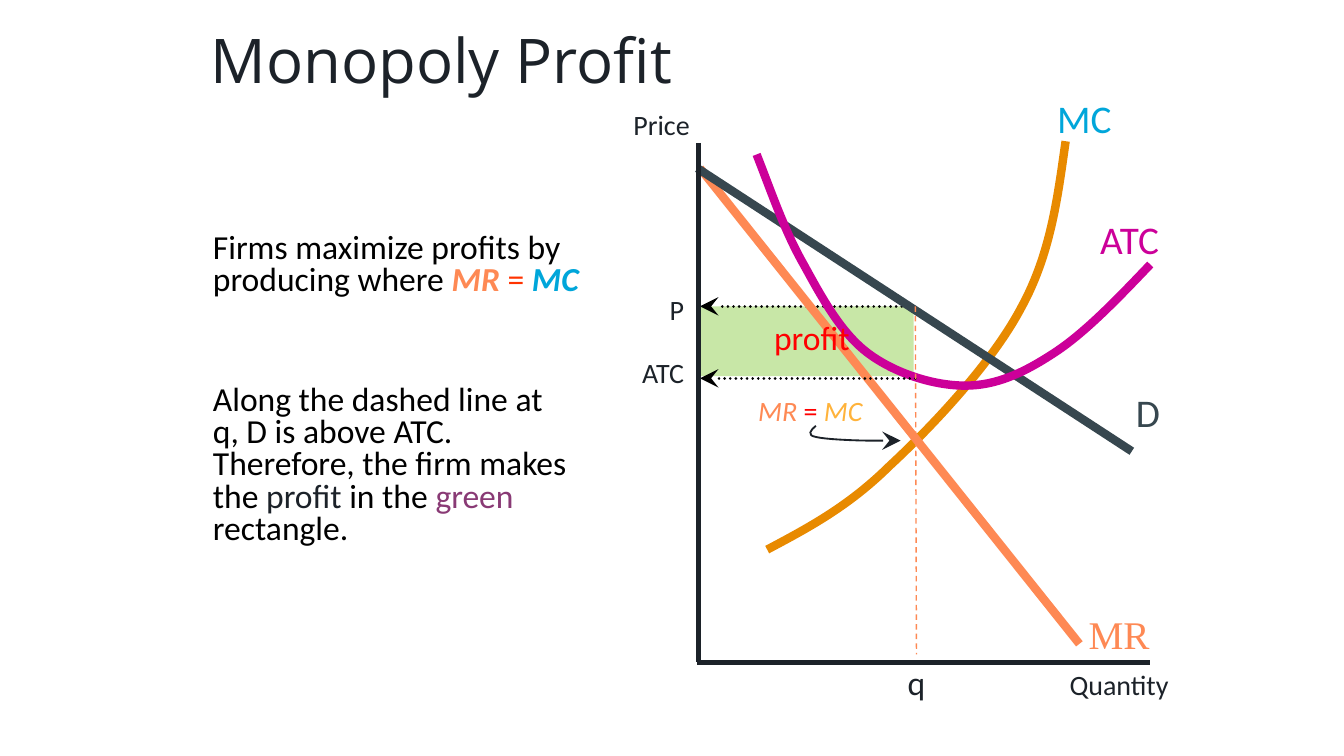
from lxml import etree
from pptx import Presentation
from pptx.dml.color import RGBColor
from pptx.enum.dml import MSO_LINE_DASH_STYLE as Dash
from pptx.enum.shapes import MSO_CONNECTOR, MSO_SHAPE
from pptx.enum.text import MSO_ANCHOR as Anchor
from pptx.enum.text import MSO_AUTO_SIZE as AutoSize
from pptx.enum.text import PP_ALIGN as Align
from pptx.oxml.ns import qn
from pptx.util import Cm, Pt

COLOURS = {
    "ink": "1C2229", "black": "000000", "white": "FFFFFF", "demand": "37474F",
    "mr": "FE8954", "mc": "00A6DA", "mc_curve": "E88A00", "mc_note": "FFB33B",
    "atc": "CC0099", "area": "92D050", "profit": "FF0000", "equals": "FF3300",
    "green_word": "893A75",
}
BOLD_ITALIC = {"bold": True, "italic": True}
ITALIC = {"italic": True}

# Cubic Bezier points in cm from the top of the price axis
MC_CURVE = [(1.3, 7.69), (2.07, 7.28), (2.83, 6.88), (3.61, 6.11), (4.43, 5.35),
            (5.55, 4.16), (6.1, 3.12), (6.66, 2.1), (6.79, 1.03), (6.94, -0.03)]
ATC_CURVE = [(1.1, 0.22), (1.38, 0.93), (1.63, 1.67), (1.99, 2.3), (2.34, 2.94),
             (2.7, 3.6), (3.21, 3.98), (3.72, 4.36), (4.45, 4.59), (5.04, 4.59),
             (5.62, 4.59), (6.13, 4.36), (6.71, 3.98), (7.3, 3.6), (7.93, 2.94),
             (8.54, 2.3)]
POINTER = [(2.22, 5.35), (2.12, 5.43), (2.04, 5.53), (2.22, 5.56), (2.42, 5.61),
           (3.03, 5.63), (3.28, 5.63), (3.56, 5.63), (3.69, 5.63), (3.82, 5.63)]


def rgb(colour):
    return RGBColor.from_string(COLOURS[colour])


def apply(target, values):
    for attribute, value in values.items():
        setattr(target, attribute, value)


def place(shape, left, top, width, height):
    apply(shape, {"left": Cm(left), "top": Cm(top),
                  "width": Cm(width), "height": Cm(height)})


def write(shape, runs, size, font="Calibri", paragraph_format=None, frame_format=None):
    """Fill a shape with one paragraph of (text, colour, font format) runs."""
    frame = shape.text_frame
    apply(frame, {"word_wrap": True, "auto_size": AutoSize.NONE,
                  "vertical_anchor": Anchor.TOP, **(frame_format or {})})
    paragraph = frame.paragraphs[0]
    apply(paragraph, {"alignment": Align.LEFT, **(paragraph_format or {})})
    for text, colour, font_format in runs:
        run = paragraph.add_run()
        run.text = text
        apply(run.font, {"name": font, "size": Pt(size), **font_format})
        run.font.color.rgb = rgb(colour)
    return paragraph


def style_line(shape, colour, width, dash=None, arrow=False):
    shape.line.color.rgb = rgb(colour)
    shape.line.width = Pt(width)
    line = shape.line._get_or_add_ln()
    if dash:
        shape.line.dash_style = dash
    if dash == Dash.ROUND_DOT:
        line.set("cap", "rnd")
    if arrow:
        etree.SubElement(line, qn("a:tailEnd"), type="stealth", w="lg", len="lg")


def bend(shape):
    """Turn each three straight segments of a freeform into one cubic curve."""
    segments = list(shape._element.iter(qn("a:lnTo")))
    for start in range(0, len(segments), 3):
        cubic = etree.Element(qn("a:cubicBezTo"))
        segments[start].addprevious(cubic)
        for segment in segments[start:start + 3]:
            cubic.append(segment[0])
            segment.getparent().remove(segment)


def add_heading(title, left, top, width, height):
    place(title, left, top, width, height)
    write(title, [("Monopoly Profit", "ink", {})], 33, "Open Sans",
          {"line_spacing": 0.9},
          {"vertical_anchor": Anchor.MIDDLE, "margin_left": Cm(0.2),
           "margin_right": Cm(0.2), "margin_top": Cm(0.1), "margin_bottom": Cm(0.1)})


def add_explanation(bodies, left, top, width):
    rule = [("Firms maximize profits by producing where ", "black", {}),
            ("MR ", "mr", BOLD_ITALIC), ("= ", "equals", {}),
            ("MC", "mc", BOLD_ITALIC)]
    result = [("Along the dashed line at q, D is above ATC. Therefore, "
               "the firm makes the ", "black", {}),
              ("profit ", "ink", {}), ("in the ", "black", {}),
              ("green", "green_word", {}), (" rectangle.", "black", {})]
    rows = ((rule, 0, width, 2.08), (result, 2.87, width - 0.25, 4.22))
    for body, (runs, offset, row_width, height) in zip(bodies, rows):
        place(body, left, top + offset, row_width, height)
        paragraph = write(body, runs, 18, paragraph_format={
            "line_spacing": 0.8, "space_before": Pt(0)})
        properties = paragraph._p.get_or_add_pPr()
        properties.set("marL", "0")
        properties.set("indent", "0")
        etree.SubElement(properties, qn("a:buNone"))


def add_graph(shapes, left, top, width, height):
    """Draw axes, curves and labels from the top of the price axis."""
    price_y, cost_y, output_x, intercept_y = 3.09, 4.45, 4.1, 0.48

    def curve(points, colour, line_width, arrow=False):
        start, *others = [(Cm(left + x), Cm(top + y)) for x, y in points]
        builder = shapes.build_freeform(*start)
        builder.add_line_segments(others, close=False)
        shape = builder.convert_to_shape()
        bend(shape)
        shape.shadow.inherit = False
        shape.fill.background()
        style_line(shape, colour, line_width, arrow=arrow)

    def line(x1, y1, x2, y2, *line_style):
        connector = shapes.add_connector(
            MSO_CONNECTOR.STRAIGHT, Cm(left + x1), Cm(top + y1),
            Cm(left + x2), Cm(top + y2))
        style_line(connector, *line_style)
        etree.SubElement(connector._element.spPr, qn("a:effectLst"))

    def box(x, y, box_width, box_height):
        return (Cm(left + x), Cm(top + y), Cm(box_width), Cm(box_height))

    curve(MC_CURVE, "mc_curve", 4.5)

    profit_area = shapes.add_shape(
        MSO_SHAPE.RECTANGLE, *box(0.03, price_y, output_x - 0.06, 1.32))
    profit_area.shadow.inherit = False
    profit_area.fill.solid()
    profit_area.fill.fore_color.rgb = rgb("area")
    profit_area.line.fill.background()
    area_colour = profit_area._element.spPr.find(".//" + qn("a:srgbClr"))
    etree.SubElement(area_colour, qn("a:alpha"), val="50000")

    price_label = shapes.add_textbox(*box(-1.48, -0.61, 1.65, 0.69))
    price_label.fill.solid()
    price_label.fill.fore_color.rgb = rgb("white")
    write(price_label, [("Price", "ink", {})], 15,
          paragraph_format={"line_spacing": 0.7})

    line(-0.02, height, width, height, "ink", 3)
    line(3.95, price_y, 0.03, price_y, "black", 1.5, Dash.ROUND_DOT, True)
    line(7.2, 9.47, 0.03, intercept_y, "mr", 4.5)
    line(8.19, 5.83, -0.02, intercept_y, "demand", 4.5)
    curve(ATC_CURVE, "atc", 4.5)
    line(output_x, cost_y, 0.03, cost_y, "black", 1.5, Dash.ROUND_DOT, True)
    line(0, 0, 0, height, "ink", 3)
    line(output_x, price_y, output_x + 0.02, 9.67, "mr", 0.75, Dash.DASH)

    centre, right = Align.CENTER, Align.RIGHT
    labels = (
        ("D", "demand", 21, "Calibri", centre, 0.6, (7.96, 4.83, 1.07, 0.79)),
        ("MR", "mr", 21, "Times New Roman", centre, 0.6, (6.92, 9.02, 2.06, 0.79)),
        ("MC", "mc", 21, "Calibri", centre, 0.6, (6.1, -0.72, 2.39, 0.79)),
        ("ATC", "atc", 21, "Calibri", centre, 0.6, (7.12, 1.56, 2.06, 0.79)),
        ("profit", "profit", 18, "Calibri", centre, 0.6, (0.95, 3.44, 2.39, 0.71)),
        ("Quantity", "ink", 15, "Calibri", centre, 0.7, (6.36, 9.97, 3.18, 0.69)),
        ("q", "ink", 18, "Calibri", centre, 1.0, (3.41, 9.69, 1.42, 1.02)),
        ("P", "ink", 15, "Calibri", right, 1.0, (-0.88, 2.71, 0.86, 0.89)),
        ("ATC", "ink", 15, "Calibri", right, 1.0, (-1.52, 3.89, 1.5, 0.89)),
    )
    for text, colour, size, font, alignment, spacing, bounds in labels:
        write(shapes.add_textbox(*box(*bounds)), [(text, colour, {})], size, font,
              {"alignment": alignment, "line_spacing": spacing})

    optimum = [("MR ", "mr", ITALIC), ("= ", "profit", {}), ("MC", "mc_note", ITALIC)]
    write(shapes.add_textbox(*box(0.78, 4.53, 2.67, 1.07)), optimum, 15,
          paragraph_format={"alignment": centre},
          frame_format={"word_wrap": False, "vertical_anchor": Anchor.MIDDLE})
    curve(POINTER, "ink", 1, arrow=True)


def main():
    deck = Presentation()
    apply(deck, {"slide_width": Cm(25.4), "slide_height": Cm(14.29)})
    slide = deck.slides.add_slide(deck.slide_layouts[3])
    title, *bodies = slide.placeholders
    add_heading(title, 3.78, 0.36, 17.6, 1.7)
    add_explanation(bodies, 3.77, 4.29, 7.52)
    add_graph(slide.shapes, 13.2, 2.7, 8.54, 9.82)
    deck.save("out.pptx")


if __name__ == "__main__":
    main()
